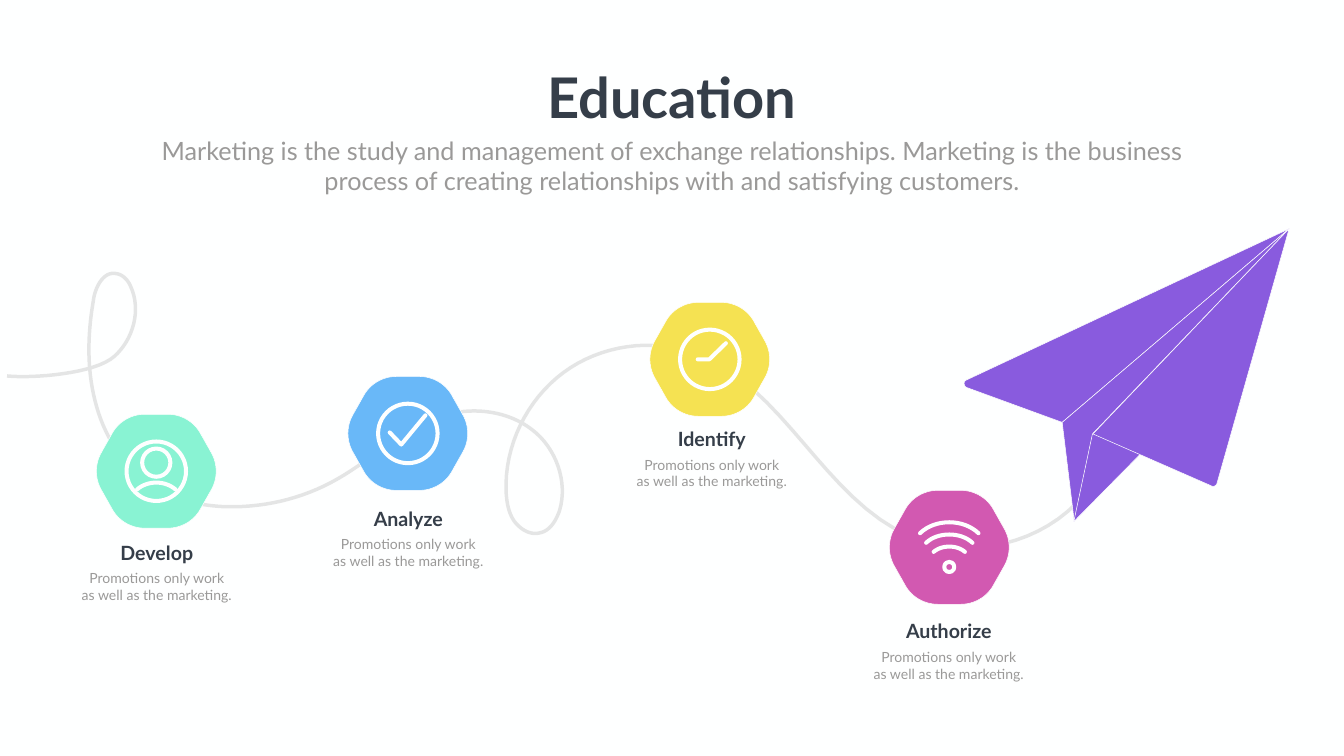
from lxml import etree
from pptx import Presentation
from pptx.dml.color import RGBColor
from pptx.enum.shapes import MSO_SHAPE
from pptx.enum.text import MSO_ANCHOR, MSO_AUTO_SIZE, PP_ALIGN
from pptx.oxml.ns import qn
from pptx.util import Emu, Pt

OVAL = MSO_SHAPE.OVAL
CENTER = PP_ALIGN.CENTER
TOP = MSO_ANCHOR.TOP
NO_AUTOFIT = MSO_AUTO_SIZE.NONE

# Content
TITLE = "Education"
SUBTITLE = ("Marketing is the study and management of exchange relationships. "
            "Marketing is the business process of creating relationships with "
            "and satisfying customers.")
CAPTION = ["Promotions only work", "as well as the marketing."]
# name, colour, icon, badge centre, text centre x, name top
STEPS = [
    ("Develop", "mint", "person", (310, 935), 311, 1068),
    ("Analyze", "blue", "check", (809, 860), 810, 1000),
    ("Identify", "yellow", "clock", (1408, 713), 1412, 842),
    ("Authorize", "pink", "signal", (1883, 1086), 1882, 1224),
]

THEME = {
    "font": "Lato",
    "colors": {"background": "FEFFFF", "white": "FFFFFF", "dark": "353E49",
               "grey": "9A9998", "trail": "808080", "plane": "895BDE",
               "mint": "89F3D3", "blue": "69B8F8", "yellow": "F5E252",
               "pink": "D259B1"},
    "sizes": {"title": 80, "subtitle": 36, "name": 28, "caption": 20},
    "lines": {"thin": 0.75, "trail": 5, "icon": 5.75},
}

# Geometry in px, 100 px to the inch
SCALE = 9144
SLIDE_SIZE = (2666, 1500)
CURVE_STEPS = 16
NAME_SIZE, CAPTION_SIZE, CAPTION_DROP = (261, 57), (437, 77), 58

# Outlines: a pair is a line end, six numbers are a Bezier curve
TRAIL = [
    (2151, 981), (2071, 1079, 1923, 1114, 1807, 1065),
    (1633, 991, 1556, 765, 1378, 701), (1292, 670, 1191, 685, 1118, 739),
    (1045, 793, 1000, 885, 1004, 976), (1005, 997, 1009, 1018, 1020, 1034),
    (1032, 1050, 1052, 1063, 1072, 1057), (1091, 1053, 1103, 1033, 1110, 1013),
    (1127, 956, 1103, 889, 1056, 853), (1009, 816, 942, 807, 884, 823),
    (804, 845, 742, 909, 670, 950), (599, 991, 517, 1009, 438, 1005),
    (395, 1002, 352, 993, 315, 972), (254, 937, 211, 875, 192, 808),
    (172, 740, 173, 667, 185, 598), (188, 571, 205, 537, 231, 543),
    (244, 545, 254, 556, 259, 568), (281, 615, 264, 674, 227, 707),
    (188, 742, 65, 751, 14, 746),
]
HEXAGON = [
    (23, -113), (-23, -113), (-49, -113, -74, -99, -87, -76), (-109, -37),
    (-122, -14, -122, 14, -109, 37), (-87, 76), (-74, 99, -49, 113, -23, 113),
    (23, 113), (49, 113, 74, 99, 87, 76), (109, 37),
    (122, 14, 122, -14, 109, -37), (87, -76), (74, -99, 49, -113, 23, -113),
]
PLANE = [
    [(2107, 838), (1918, 769), (1912, 767, 1910, 757, 1917, 754), (2557, 454)],
    [(2107, 838), (2131, 1035), (2168, 860), (2557, 454)],
    [(2130, 1035), (2475, 685), (2167, 861)],
    [(2168, 861), (2557, 454), (2414, 959), (2413, 963, 2407, 967, 2403, 964)],
]
# Icons around the badge centre: rings are (x, y, radius)
RING = (0, 0, 59)
ICONS = {
    "person": {"rings": [RING, (0, -17, 28)],
               "strokes": [[(-38, 36), (-17, 18, 17, 18, 38, 36)]]},
    "check": {"rings": [RING], "strokes": [[(-36, -2), (-13, 22), (35, -36)]]},
    "clock": {"rings": [RING], "strokes": [[(-24, 0), (-1, 0), (32, -32)]]},
    "signal": {"rings": [(0, 39, 10)],
               "strokes": [[(-58, -28), (-28, -57, 28, -57, 58, -28)],
                           [(-46, -9), (-23, -31, 23, -31, 46, -9)],
                           [(-31, 9), (-15, -5, 15, -5, 31, 9)]]},
}


def px(value):
    return Emu(round(value * SCALE))


def color(name):
    return RGBColor.from_string(THEME["colors"][name])


def trace(outline):
    """Turn lines and Bezier curves into a list of points."""
    points = [outline[0]]
    for part in outline[1:]:
        if len(part) == 2:
            points.append(part)
            continue
        (x0, y0), (x1, y1, x2, y2, x3, y3) = points[-1], part
        for step in range(1, CURVE_STEPS + 1):
            t = step / CURVE_STEPS
            a, b, c, d = (1 - t)**3, 3 * t * (1 - t)**2, 3 * t * t * (1 - t), t**3
            points.append((a * x0 + b * x1 + c * x2 + d * x3,
                           a * y0 + b * y1 + c * y2 + d * y3))
    return points


def paint(shape, fill, line, width):
    shape.shadow.inherit = False
    if fill:
        shape.fill.solid()
        shape.fill.fore_color.rgb = color(fill)
    else:
        shape.fill.background()
    shape.line.color.rgb = color(line)
    shape.line.width = Pt(THEME["lines"][width])


def add_outline(slide, outline, line, width, fill=None, origin=(0, 0)):
    points = [(px(x + origin[0]), px(y + origin[1])) for x, y in trace(outline)]
    builder = slide.shapes.build_freeform(*points[0], scale=1.0)
    builder.add_line_segments(points[1:], close=fill is not None)
    shape = builder.convert_to_shape()
    paint(shape, fill, line, width)
    return shape


def add_icon(slide, icon, center):
    for x, y, radius in icon["rings"]:
        ring = slide.shapes.add_shape(
            OVAL, px(center[0] + x - radius), px(center[1] + y - radius),
            px(2 * radius), px(2 * radius))
        paint(ring, None, "background", "icon")
    for stroke in icon["strokes"]:
        shape = add_outline(slide, stroke, "background", "icon", origin=center)
        line = shape.element.spPr.find(qn("a:ln"))
        line.set("cap", "rnd")
        etree.SubElement(line, qn("a:round"))


def write(shape, box, lines, size, ink, bold=False, wrap=True):
    shape.left, shape.top, shape.width, shape.height = map(px, box)
    frame = shape.text_frame
    frame.word_wrap = wrap
    frame.auto_size = NO_AUTOFIT
    frame.vertical_anchor = TOP
    for index, text in enumerate(lines):
        paragraph = frame.add_paragraph() if index else frame.paragraphs[0]
        paragraph.alignment = CENTER
        paragraph.space_before = Pt(0)
        run = paragraph.add_run()
        run.text = text
        run.font.name = THEME["font"]
        run.font.size = Pt(THEME["sizes"][size])
        run.font.bold = bold
        run.font.color.rgb = color(ink)


def add_text(slide, center_x, top, size, *style, **options):
    box = (center_x - size[0] / 2, top, *size)
    write(slide.shapes.add_textbox(0, 0, 0, 0), box, *style, **options)


def main():
    presentation = Presentation()
    presentation.slide_width, presentation.slide_height = map(px, SLIDE_SIZE)
    slide = presentation.slides.add_slide(presentation.slide_layouts[0])
    slide.background.fill.solid()
    slide.background.fill.fore_color.rgb = color("background")

    # Heading
    write(slide.shapes.title, (1071, 119, 524, 145), [TITLE], "title", "dark",
          bold=True, wrap=False)
    write(slide.placeholders[1], (268, 263, 2130, 131), [SUBTITLE], "subtitle", "grey")

    # Flight trail, mostly transparent
    trail = add_outline(slide, TRAIL, "trail", "trail")
    ink = trail.element.spPr.find(qn("a:ln")).find(".//" + qn("a:srgbClr"))
    etree.SubElement(ink, qn("a:alpha")).set("val", "20000")

    # Paper plane
    for panel in PLANE:
        add_outline(slide, panel, "background", "thin", fill="plane")

    # Steps: badge, icon, name and caption
    for name, fill, icon, center, text_x, top in STEPS:
        add_outline(slide, HEXAGON, "white", "thin", fill=fill, origin=center)
        add_icon(slide, ICONS[icon], center)
        add_text(slide, text_x, top, NAME_SIZE, [name], "name", "dark", bold=True)
        add_text(slide, text_x, top + CAPTION_DROP, CAPTION_SIZE, CAPTION,
                 "caption", "grey")

    presentation.save("out.pptx")


if __name__ == "__main__":
    main()
